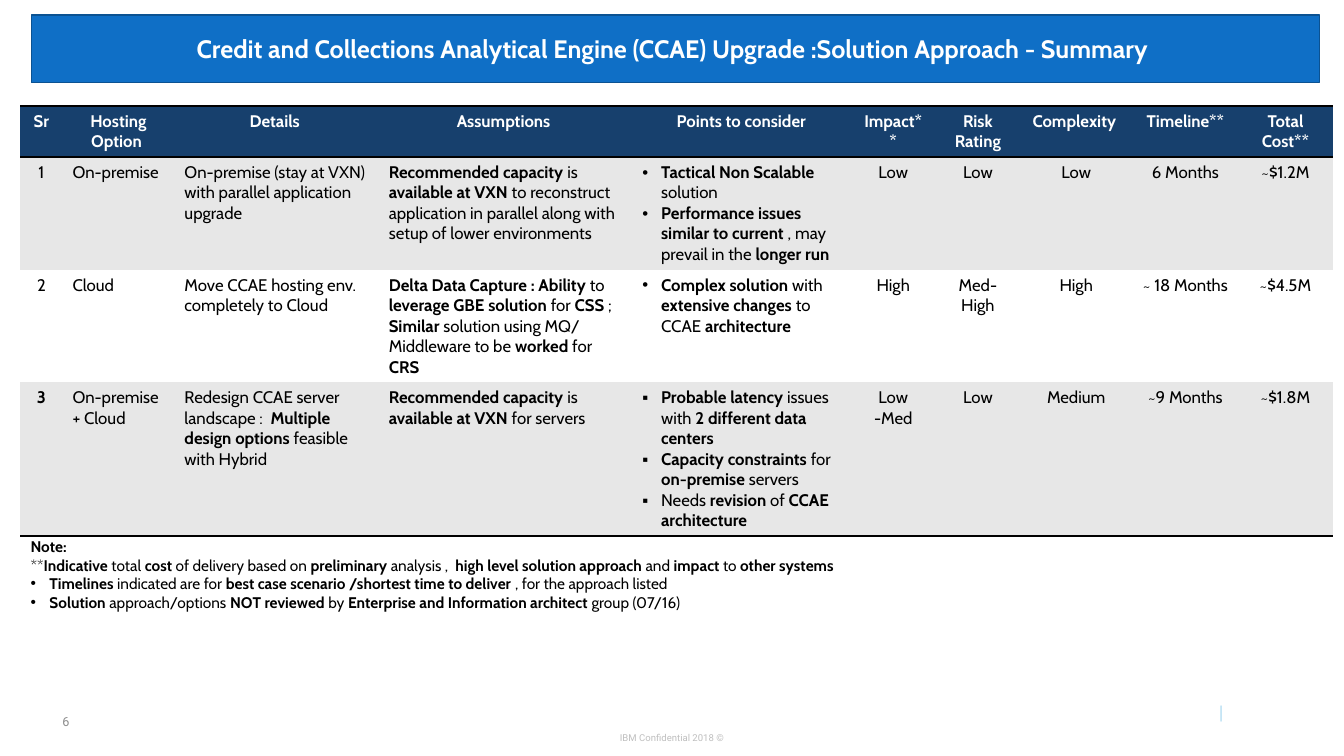
from pptx import Presentation
from pptx.dml.color import RGBColor
from pptx.enum.text import MSO_ANCHOR as Anchor, MSO_AUTO_SIZE as AutoSize, PP_ALIGN as Align
from pptx.oxml import parse_xml
from pptx.oxml.ns import nsdecls, qn
from pptx.util import Pt

TITLE = "Credit and Collections Analytical Engine (CCAE) Upgrade :Solution Approach - Summary "
HEADERS = ["Sr", "Hosting Option ", "Details ", "Assumptions ", "Points to consider",
           "Impact**", "Risk Rating", "Complexity ", "Timeline**", "Total Cost**"]
# "|" switches bold on and off
OPTIONS = [
    ["1", "On-premise", "On-premise (stay at VXN) with parallel application upgrade",
     "|Recommended capacity |is |available at VXN |to reconstruct application in parallel "
     "along with setup of lower environments",
     ["•|Tactical Non Scalable| solution",
      "•|Performance issues similar to current |, may prevail in the |longer run"],
     "Low", "Low", "Low", "6 Months", "~$1.2M"],
    ["2", "Cloud", "Move CCAE hosting env. completely to Cloud",
     "|Delta Data Capture : Ability |to |leverage GBE solution |for |CSS| ; |Similar| solution "
     "using MQ/ Middleware to be |worked |for |CRS",
     ["•|Complex solution |with |extensive changes |to CCAE |architecture"],
     "High", "Med-High", "High", "~ 18 Months", "~$4.5M"],
    ["|3", "On-premise + Cloud",
     "Redesign CCAE server landscape :  |Multiple design options |feasible with Hybrid",
     "|Recommended capacity |is |available at VXN |for servers",
     ["▪|Probable latency |issues with |2 different data centers",
      "▪|Capacity constraints| for |on-premise| servers",
      "▪Needs |revision| of |CCAE architecture"],
     "Low -Med", "Low", "Medium", "~9 Months", "~$1.8M"],
]
NOTES = [
    "|Note:",
    "**|Indicative| total |cost| of delivery based on |preliminary| analysis ,  "
    "|high level solution approach |and |impact| to |other systems",
    "•|Timelines| indicated are for |best case scenario /shortest time to deliver |"
    ", for the approach listed",
    "•|Solution| approach/options |NOT reviewed |by |Enterprise and Information architect| "
    "group (07/16)",
]
FOOTERS = [
    ("IBM Confidential 2018 ©", (372, 512.5, 216, 29), 6.8, "BFBFBF", Align.CENTER, Anchor.MIDDLE),
    ("|", (854, 497, 36.5, 24), 13.5, "B3DDF2", Align.CENTER, Anchor.TOP),
    ("6", (37.5, 500.5, 216, 29), 9, "8C8C8C", Align.LEFT, Anchor.MIDDLE),
]
COL_WIDTHS = [30, 80, 146, 181, 156, 61, 60, 80.5, 75.5, 67.5]
ROW_HEIGHTS = [36.5, 79, 79, 108]
LEFT_COLS = range(1, 5)
TABLE_LEFT, TABLE_TOP = 14.6, 75.6
PLAIN_STYLE = "{2D5ABB26-0587-4C30-8999-92F81FD0307C}"


def color(hex_text):
    return RGBColor.from_string(hex_text)


def place(sp, left, top, width, height):
    sp.left, sp.top, sp.width, sp.height = Pt(left), Pt(top), Pt(width), Pt(height)


def add_run(p, text, size, hex_text, bold=False, font="Cabin"):
    r = p.add_run()
    r.text = text
    r.font.name, r.font.size, r.font.bold = font, Pt(size), bold
    r.font.color.rgb = color(hex_text)


def set_bullet(p, char):
    pPr = p._p.get_or_add_pPr()
    pPr.set("marL", str(Pt(13.5) if char else 0))
    pPr.set("indent", str(-Pt(13.5) if char else 0))
    if char:
        pPr.append(parse_xml(f'<a:buFont {nsdecls("a")} typeface="Arial"/>'))
        pPr.append(parse_xml(f'<a:buChar {nsdecls("a")} char="{char}"/>'))
    else:
        pPr.append(parse_xml(f'<a:buNone {nsdecls("a")}/>'))


def fill_text(tf, lines, size, hex_text="000000", align=Align.LEFT):
    for i, line in enumerate(lines):
        p = tf.add_paragraph() if i else tf.paragraphs[0]
        char = line[0] if line[0] in "•▪" else ""
        set_bullet(p, char)
        p.alignment = align
        p.space_before = Pt(0)
        for k, part in enumerate(line[len(char):].split("|")):
            if part:
                add_run(p, part, size, hex_text, bold=k % 2 == 1)


def add_border(cell, side):
    cell._tc.get_or_add_tcPr().insert(0, parse_xml(
        f'<a:{side} {nsdecls("a")} w="{Pt(2)}"><a:solidFill><a:srgbClr val="000000"/>'
        f'</a:solidFill></a:{side}>'))


prs = Presentation()
prs.slide_width, prs.slide_height = Pt(960), Pt(540)
s = prs.slides.add_slide(prs.slide_layouts[1])

title = s.shapes.title
place(title, 22.3, 10.8, 920, 48.2)
title.fill.solid()
title.fill.fore_color.rgb = color("0F6FC6")
title.line.color.rgb = color("0B5292")
title.line.width = Pt(1)
title.text_frame.auto_size = AutoSize.NONE
title.text_frame.vertical_anchor = Anchor.MIDDLE
fill_text(title.text_frame, ["|" + TITLE], 18, "FFFFFF", Align.CENTER)

notes = s.placeholders[1]
place(notes, TABLE_LEFT, 380.2, sum(COL_WIDTHS), 60.5)
notes.text_frame.auto_size = AutoSize.NONE
notes.text_frame.vertical_anchor = Anchor.TOP
fill_text(notes.text_frame, NOTES, 11)

rows = [["|" + h for h in HEADERS]] + OPTIONS
frame = s.shapes.add_table(len(rows), len(HEADERS), Pt(TABLE_LEFT), Pt(TABLE_TOP),
                           Pt(sum(COL_WIDTHS)), Pt(sum(ROW_HEIGHTS)))
table = frame.table
table._tbl.tblPr.find(qn("a:tableStyleId")).text = PLAIN_STYLE
for column, width in zip(table.columns, COL_WIDTHS):
    column.width = Pt(width)
for i, row in enumerate(rows):
    table.rows[i].height = Pt(ROW_HEIGHTS[i])
    for j, content in enumerate(row):
        cell = table.cell(i, j)
        cell.fill.solid()
        cell.fill.fore_color.rgb = color("17406D" if i == 0 else "E7E7E7" if i % 2 else "FFFFFF")
        lines = content if isinstance(content, list) else [content]
        fill_text(cell.text_frame, lines, 12, "000000" if i else "FFFFFF",
                  Align.LEFT if i and j in LEFT_COLS else Align.CENTER)
        if i in (0, len(rows) - 1):
            add_border(cell, "lnB")
        if i == 0:
            add_border(cell, "lnT")

for text, box, size, hex_text, align, anchor in FOOTERS:
    tf = s.shapes.add_textbox(*map(Pt, box)).text_frame
    tf.word_wrap = True
    tf.vertical_anchor = anchor
    p = tf.paragraphs[0]
    p.alignment = align
    add_run(p, text, size, hex_text, font="Roboto")

prs.save("out.pptx")
